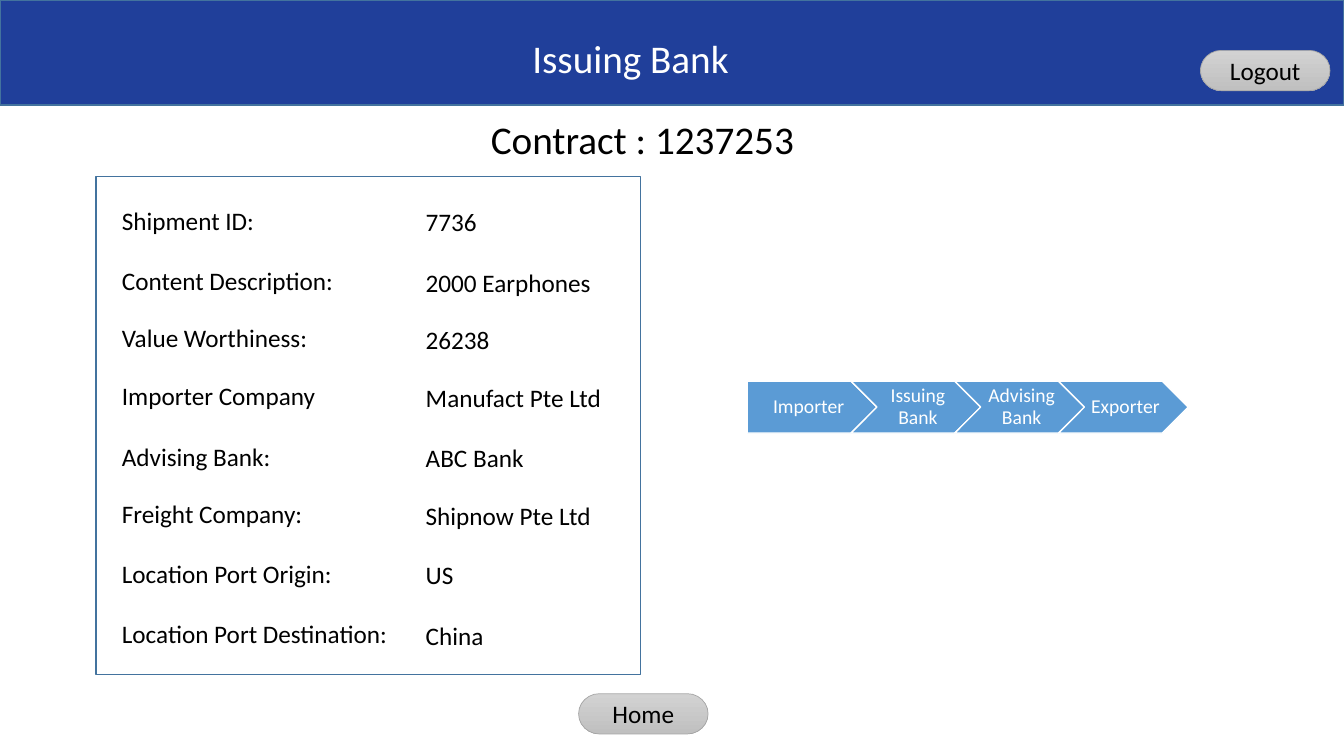
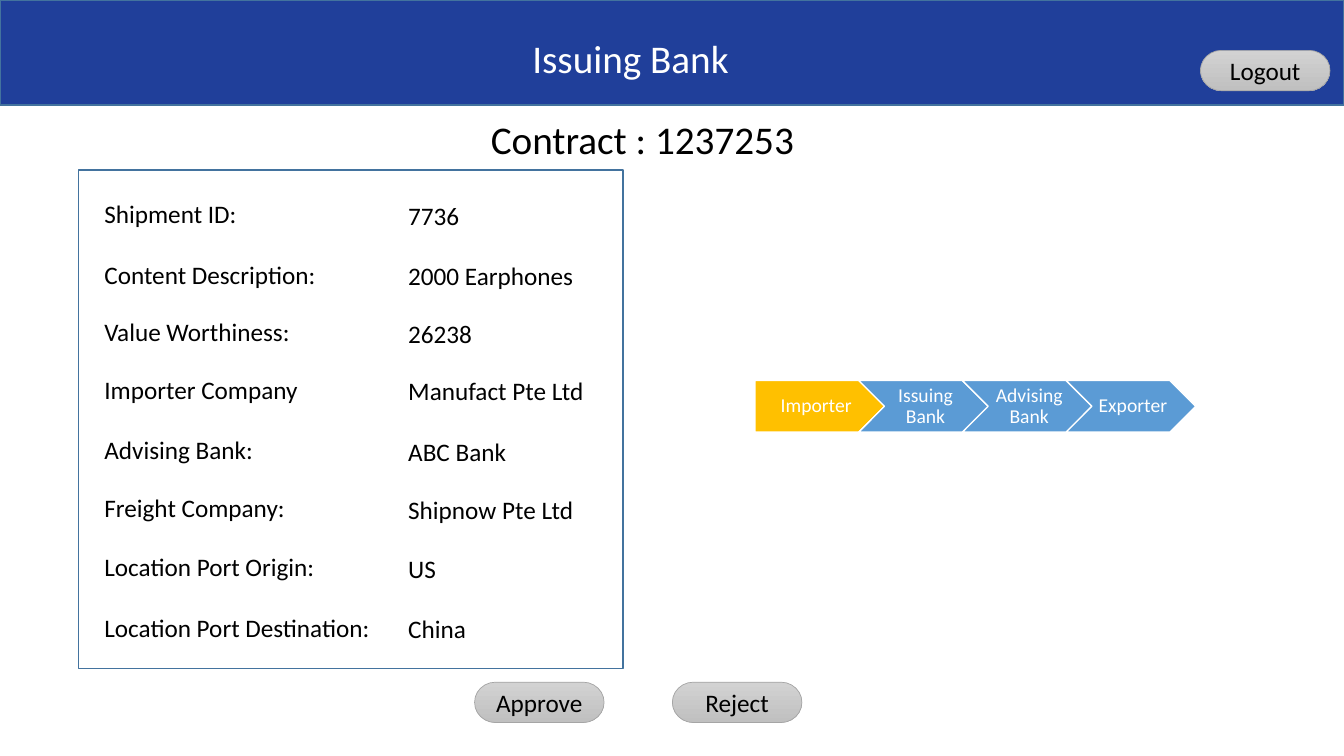
from dataclasses import dataclass
from typing import NamedTuple

from pptx import Presentation
from pptx.dml.color import RGBColor
from pptx.enum.shapes import MSO_SHAPE as Preset
from pptx.enum.text import MSO_ANCHOR as Anchor, MSO_AUTO_SIZE as AutoSize, PP_ALIGN as Align
from pptx.shapes.autoshape import Shape
from pptx.slide import Slide
from pptx.text.text import TextFrame
from pptx.util import Pt


@dataclass(frozen=True)
class Theme:
    """Colours, font and type sizes of the screens."""
    font: str = "Calibri"
    heading_size: float = 28
    body_size: float = 18
    step_size: float = 14
    band: RGBColor = RGBColor(0x20, 0x3F, 0x9A)
    outline: RGBColor = RGBColor(0x43, 0x73, 0x9E)
    button_top: RGBColor = RGBColor(0xD2, 0xD2, 0xD2)
    button_bottom: RGBColor = RGBColor(0xC0, 0xC0, 0xC0)
    button_line: RGBColor = RGBColor(0xA5, 0xA5, 0xA5)
    step: RGBColor = RGBColor(0x5B, 0x9B, 0xD5)
    step_done: RGBColor = RGBColor(0xFF, 0xC0, 0x00)
    dark: RGBColor = RGBColor(0, 0, 0)
    light: RGBColor = RGBColor(0xFF, 0xFF, 0xFF)


class Box(NamedTuple):
    """Left, top, width and height in points."""
    left: float
    top: float
    width: float
    height: float


class Field(NamedTuple):
    """A contract detail, with its offset below the panel top."""
    label: str
    value: str
    offset: float
    width: float


class Button(NamedTuple):
    """A button caption and its top left corner."""
    caption: str
    left: float
    top: float


@dataclass(frozen=True)
class Screen:
    """What differs from one contract screen to the next."""
    panel_left: float
    panel_top: float
    steps_left: float
    steps_top: float
    steps_done: int
    buttons: tuple[Button, ...]


THEME = Theme()
SLIDE_WIDTH, SLIDE_HEIGHT = 960, 540
LINE_HEIGHT = 28.8
STEP_PITCH, STEP_WIDTH, STEP_HEIGHT = 74.1, 92.6, 37
LABEL_INDENT, VALUE_INDENT, VALUE_DROP = 11.5, 228.5, 1.2

TITLE = "Issuing Bank"
CONTRACT = "Contract : 1237253"
STEPS = ("Importer", "Issuing Bank", "Advising Bank", "Exporter")
LOGOUT = Button("Logout", 857.5, 36)
FIELDS = (
    Field("Shipment ID:", "7736", 19.4, 127.5),
    Field("Content Description:", "2000 Earphones", 62.5, 180),
    Field("Value Worthiness:", "26238", 103.5, 180),
    Field("Importer Company", "Manufact Pte Ltd", 144.5, 167),
    Field("Advising Bank:", "ABC Bank", 187.8, 180),
    Field("Freight Company:", "Shipnow Pte Ltd", 229, 180),
    Field("Location Port Origin:", "US", 271.5, 193),
    Field("Location Port Destination:", "China", 314.6, 211),
)
SCREENS = (
    Screen(68.5, 126, 533.8, 272.3, 0, (Button("Home", 413.3, 495.5),)),
    Screen(56, 121.5, 539.2, 271.7, 1,
           (Button("Approve", 339, 487.3), Button("Reject", 480.3, 487.3))),
)


def lengths(box: Box) -> list[Pt]:
    """Convert a box to slide lengths."""
    return [Pt(length) for length in box]


def write(frame: TextFrame, text: str, size: float, colour: RGBColor,
          align: Align, anchor: Anchor, line_spacing: float = 0.9) -> None:
    """Put one formatted paragraph into a text frame."""
    frame.text = text
    frame.word_wrap = True
    frame.auto_size = AutoSize.NONE
    frame.vertical_anchor = anchor
    paragraph = frame.paragraphs[0]
    paragraph.alignment = align
    paragraph.line_spacing = line_spacing
    for run in paragraph.runs:
        run.font.name = THEME.font
        run.font.size = Pt(size)
        run.font.color.rgb = colour


def add_text(slide: Slide, text: str, box: Box, size: float = THEME.body_size) -> None:
    """Add a left-aligned dark text box."""
    frame = slide.shapes.add_textbox(*lengths(box)).text_frame
    write(frame, text, size, THEME.dark, Align.LEFT, Anchor.TOP)
    frame.paragraphs[0].space_before = Pt(10)


def add_outlined(slide: Slide, preset: Preset, box: Box, line: RGBColor,
                 fill: RGBColor | None = None, line_width: float = 1) -> Shape:
    """Add a flat preset shape, unfilled unless a fill is given."""
    shape = slide.shapes.add_shape(preset, *lengths(box))
    shape.shadow.inherit = False
    shape.line.color.rgb = line
    shape.line.width = Pt(line_width)
    if fill is None:
        shape.fill.background()
    else:
        shape.fill.solid()
        shape.fill.fore_color.rgb = fill
    return shape


def add_header(slide: Slide) -> None:
    """Draw the band, the title over it and the contract heading."""
    band = add_outlined(slide, Preset.RECTANGLE, Box(0, 0, SLIDE_WIDTH, 75),
                        THEME.outline, THEME.band)
    title = slide.shapes.title
    title.left, title.top, title.width, title.height = lengths(
        Box(373, 24.5, 216.5, LINE_HEIGHT))
    write(title.text_frame, TITLE, THEME.heading_size, THEME.light,
          Align.LEFT, Anchor.TOP)
    band.element.addnext(title.element)
    add_text(slide, CONTRACT, Box(343.5, 82.8, 273, LINE_HEIGHT), THEME.heading_size)


def add_button(slide: Slide, button: Button) -> None:
    """Draw a rounded grey gradient button."""
    shape = add_outlined(slide, Preset.FLOWCHART_TERMINATOR,
                         Box(button.left, button.top, 92.5, LINE_HEIGHT),
                         THEME.button_line, line_width=0.5)
    shape.fill.gradient()
    shape.fill.gradient_angle = 270
    colours = (THEME.button_top, THEME.button_bottom)
    for stop, colour in zip(shape.fill.gradient_stops, colours):
        stop.color.rgb = colour
    write(shape.text_frame, button.caption, THEME.body_size, THEME.dark,
          Align.CENTER, Anchor.MIDDLE, line_spacing=1)


def add_details(slide: Slide, left: float, top: float) -> None:
    """Draw the framed panel of contract details."""
    add_outlined(slide, Preset.RECTANGLE, Box(left, top, 389, 356), THEME.outline)
    for field in FIELDS:
        label_top = top + field.offset
        add_text(slide, field.label,
                 Box(left + LABEL_INDENT, label_top, field.width, LINE_HEIGHT))
        add_text(slide, field.value,
                 Box(left + VALUE_INDENT, label_top + VALUE_DROP, field.width, LINE_HEIGHT))


def add_steps(slide: Slide, left: float, top: float, done: int) -> None:
    """Draw the approval chain, with finished steps highlighted."""
    for index, name in enumerate(STEPS):
        preset = Preset.CHEVRON if index else Preset.PENTAGON
        box = Box(left + index * STEP_PITCH, top, STEP_WIDTH, STEP_HEIGHT)
        fill = THEME.step_done if index < done else THEME.step
        frame = add_outlined(slide, preset, box, THEME.light, fill).text_frame
        frame.margin_left = Pt(4 if index else 5.3)
        frame.margin_right = Pt(1)
        frame.margin_top = frame.margin_bottom = Pt(2.8)
        write(frame, name, THEME.step_size, THEME.light, Align.CENTER, Anchor.MIDDLE)


def build() -> None:
    """Build and save the presentation."""
    presentation = Presentation()
    presentation.slide_width = Pt(SLIDE_WIDTH)
    presentation.slide_height = Pt(SLIDE_HEIGHT)
    title_only = presentation.slide_layouts.get_by_name("Title Only")
    for screen in SCREENS:
        slide = presentation.slides.add_slide(title_only)
        add_header(slide)
        add_details(slide, screen.panel_left, screen.panel_top)
        add_steps(slide, screen.steps_left, screen.steps_top, screen.steps_done)
        for button in (LOGOUT, *screen.buttons):
            add_button(slide, button)
    presentation.save("out.pptx")


build()
